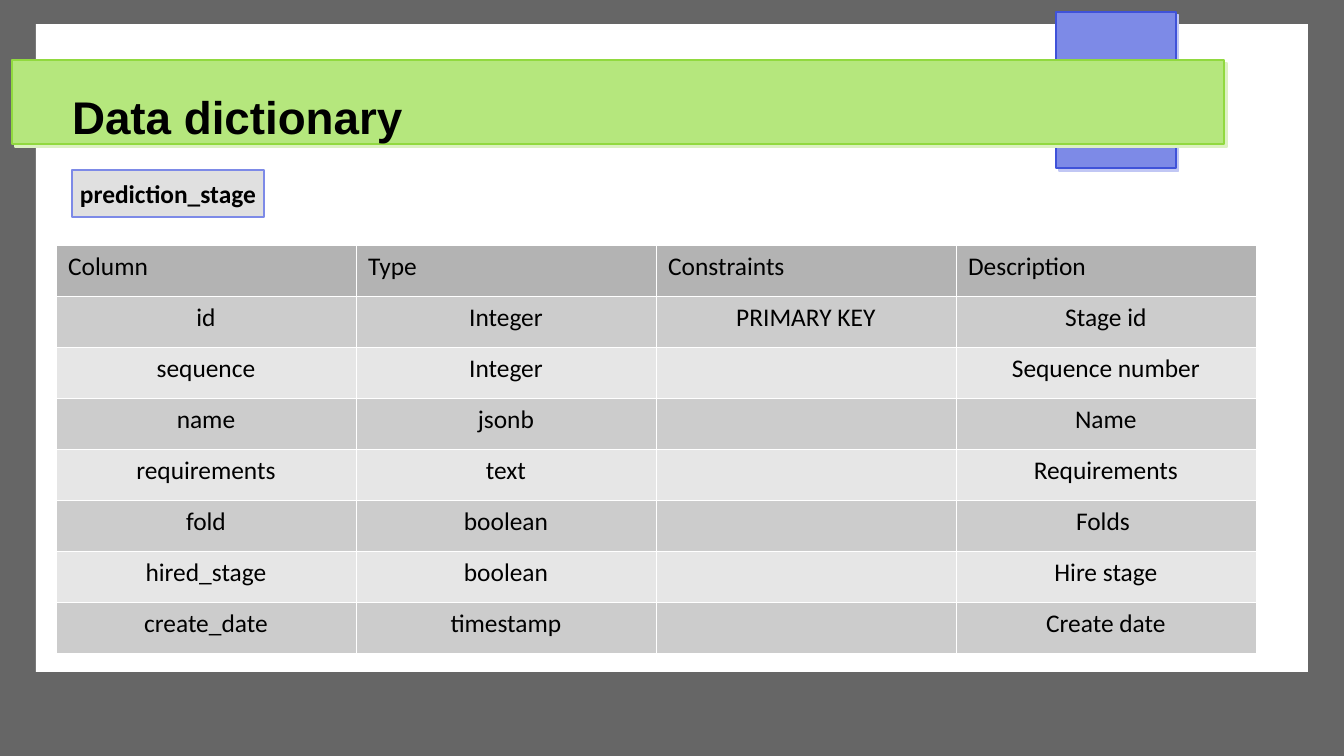
from lxml import etree
from pptx import Presentation
from pptx.dml.color import RGBColor
from pptx.enum.shapes import MSO_SHAPE
from pptx.enum.text import MSO_ANCHOR, PP_ALIGN
from pptx.oxml.ns import qn
from pptx.util import Pt

PX = 7495  # EMU per px, 122 px to the inch
RECTANGLE = MSO_SHAPE.RECTANGLE
MIDDLE = MSO_ANCHOR.MIDDLE
LEFT, CENTER = PP_ALIGN.LEFT, PP_ALIGN.CENTER

COLORS = {
    "frame": "666666", "page": "FFFFFF", "text": "000000",
    "blue": "7D8AE7", "blue_line": "3F52D9", "blue_shadow": "C1C7F4",
    "green": "B5E77D", "green_line": "91D93F", "green_shadow": "DCF1C1",
    "label": "E0E0E0", "header": "B3B3B3", "odd": "CCCCCC", "even": "E6E6E6",
}

ROWS = [
    ("Column", "Type", "Constraints", "Description"),
    ("id", "Integer", "PRIMARY KEY", "Stage id"),
    ("sequence", "Integer", "", "Sequence number"),
    ("name", "jsonb", "", "Name"),
    ("requirements", "text", "", "Requirements"),
    ("fold", "boolean", "", "Folds "),
    ("hired_stage", "boolean", "", "Hire stage"),
    ("create_date", "timestamp", "", "Create date"),
]

prs = Presentation()
prs.slide_width, prs.slide_height = 1344 * PX, 756 * PX
slide = prs.slides.add_slide(prs.slide_layouts[6])


def add_box(left, top, width, height, fill, line=None, shadow=None):
    """Add a rectangle, optionally with an outline and a hard diagonal shadow."""
    box = slide.shapes.add_shape(RECTANGLE, left * PX, top * PX, width * PX, height * PX)
    box.shadow.inherit = False
    box.fill.solid()
    box.fill.fore_color.rgb = RGBColor.from_string(COLORS[fill])
    if line:
        box.line.color.rgb = RGBColor.from_string(COLORS[line])
        box.line.width = Pt(0.85)
    else:
        box.line.fill.background()
    if shadow:
        effects = box._element.spPr.find(qn("a:effectLst"))
        outer = etree.SubElement(effects, qn("a:outerShdw"), dist=str(Pt(2.4)),
                                 dir="2700000", algn="tl", rotWithShape="0")
        etree.SubElement(outer, qn("a:srgbClr"), val=COLORS[shadow])
    return box


def add_text(paragraph, text, size, font="Calibri", bold=False, align=LEFT):
    paragraph.alignment = align
    run = paragraph.add_run()
    run.text = text
    run.font.name, run.font.size, run.font.bold = font, Pt(size), bold
    run.font.color.rgb = RGBColor.from_string(COLORS["text"])


# Backdrop
add_box(0, 0, 1344, 756, "frame")
add_box(36, 24, 1272, 648, "page")
add_box(1056, 12, 120, 156, "blue", "blue_line", "blue_shadow")
add_box(12, 60, 1212, 84, "green", "green_line", "green_shadow")

# Title
title = slide.shapes.add_textbox(72, 70, 1153 * PX, 93 * PX)
title.left, title.top = 72 * PX, 70 * PX
title_frame = title.text_frame
title_frame.word_wrap = True
title_frame.vertical_anchor = MIDDLE
title_frame.margin_left = title_frame.margin_right = 0
title_frame.margin_top = title_frame.margin_bottom = 0
add_text(title_frame.paragraphs[0], "Data dictionary", 27, "Arial", bold=True)

# Column table
dictionary = slide.shapes.add_table(len(ROWS), len(ROWS[0]), 56 * PX, 245 * PX,
                                    1200 * PX, 408 * PX).table
dictionary.first_row = False
dictionary.horz_banding = False
for column in dictionary.columns:
    column.width = 300 * PX
for row_index, values in enumerate(ROWS):
    dictionary.rows[row_index].height = 51 * PX
    band = "header" if row_index == 0 else "odd" if row_index % 2 else "even"
    for column_index, value in enumerate(values):
        cell = dictionary.cell(row_index, column_index)
        properties = cell._tc.get_or_add_tcPr()
        for side in ("lnL", "lnR", "lnT", "lnB"):
            border = etree.SubElement(properties, qn(f"a:{side}"), w=str(Pt(0.06)))
            border_fill = etree.SubElement(border, qn("a:solidFill"))
            etree.SubElement(border_fill, qn("a:srgbClr"), val=COLORS["page"])
        cell.fill.solid()
        cell.fill.fore_color.rgb = RGBColor.from_string(COLORS[band])
        if value:
            add_text(cell.text_frame.paragraphs[0], value, 15,
                     align=CENTER if row_index else LEFT)

# Table name
table_name = add_box(72, 170, 192, 47, "label", "blue")
table_name.text_frame.word_wrap = False
table_name.text_frame.vertical_anchor = MIDDLE
add_text(table_name.text_frame.paragraphs[0], "prediction_stage", 15, bold=True, align=CENTER)

prs.save("out.pptx")
